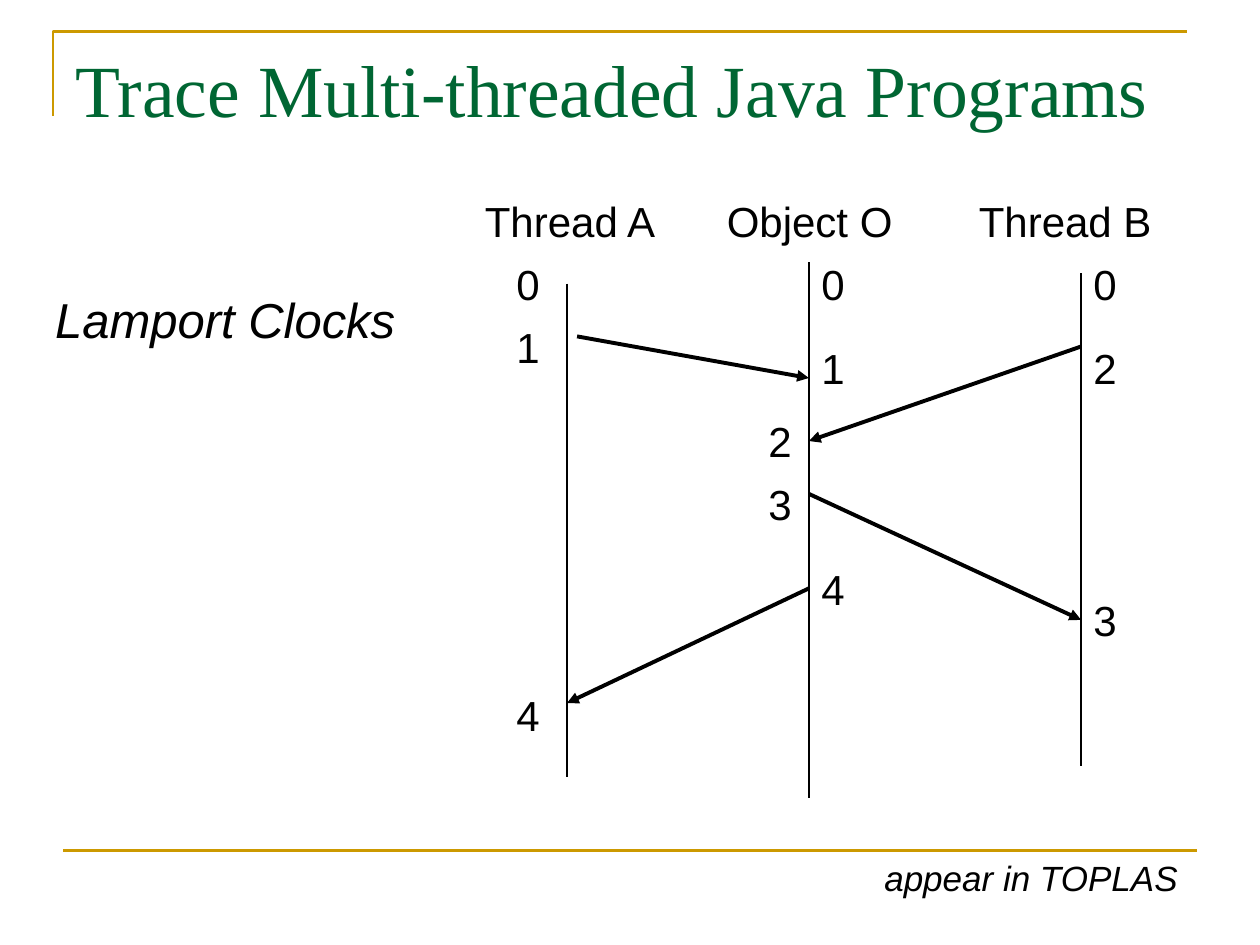
import pptx
import pptx.dml.color
import pptx.enum.shapes
import pptx.oxml
import pptx.oxml.ns
import pptx.util

Inches = pptx.util.Inches
Pt = pptx.util.Pt
RGBColor = pptx.dml.color.RGBColor

GOLD = RGBColor(0xCC, 0x99, 0x00)
GREEN = RGBColor(0x00, 0x66, 0x33)
BLACK = RGBColor(0x00, 0x00, 0x00)


def add_text(s, x, y, w, h, text, size, color=BLACK, font="Arial", italic=False, wrap=True):
    tf = s.shapes.add_textbox(Inches(x), Inches(y), Inches(w), Inches(h)).text_frame
    tf.word_wrap = wrap
    p = tf.paragraphs[0]
    p.text = text
    p.font.size = Pt(size)
    p.font.name = font
    p.font.italic = italic
    p.font.color.rgb = color


def add_line(s, x1, y1, x2, y2, color, width, arrow=False):
    line = s.shapes.add_connector(
        pptx.enum.shapes.MSO_CONNECTOR.STRAIGHT,
        Inches(x1), Inches(y1), Inches(x2), Inches(y2))
    line.line.color.rgb = color
    line.line.width = Pt(width)
    if arrow:
        ln = line.line._get_or_add_ln()
        ln.append(pptx.oxml.parse_xml(
            f'<a:tailEnd {pptx.oxml.ns.nsdecls("a")} type="triangle"/>'))
    line._element.spPr.append(
        pptx.oxml.parse_xml(f'<a:effectLst {pptx.oxml.ns.nsdecls("a")}/>'))


def add_header(s, x, y, w, h):
    builder = s.shapes.build_freeform(Inches(x), Inches(y + h), scale=1.0)
    builder.add_line_segments(
        [(Inches(x), Inches(y)), (Inches(x + w), Inches(y))], close=False)
    corner = builder.convert_to_shape()
    corner.fill.background()
    corner.line.color.rgb = GOLD
    corner.line.width = Pt(1.5)
    corner.shadow.inherit = False
    add_text(s, x + 0.08, y + 0.05, w, 1.25, "Trace Multi-threaded Java Programs",
             42, GREEN, "Times New Roman")


def add_footer(s, x, y, w):
    add_line(s, x, y, x + w, y, GOLD, 1.5)
    add_text(s, x + w - 2.58, y, 2.67, 0.44, "appear in TOPLAS", 20, italic=True)


def add_clock_diagram(s, x, y):
    a, o, b = x + 0.75, x + 2.67, x + 4.83
    timelines = [
        ("Thread A", x, a, 0.75, 4.67),
        ("Object O", x + 1.92, o, 0.58, 4.83),
        ("Thread B", x + 3.92, b, 0.67, 4.58),
    ]
    for name, left, axis, top, bottom in timelines:
        add_text(s, left, y, 1.67, 0.5, name, 24)
        add_line(s, axis, y + top, axis, y + bottom, BLACK, 0.75)

    messages = [
        (a + 0.08, 1.17, o, 1.5),
        (b, 1.25, o, 2),
        (o, 2.42, b, 3.42),
        (o, 3.17, a, 4.08),
    ]
    for x1, y1, x2, y2 in messages:
        add_line(s, x1, y + y1, x2, y + y2, BLACK, 2.25, arrow=True)

    clocks = [
        (a - 0.5, [("0", 0.5), ("1", 1), ("4", 3.92)]),
        (o - 0.42, [("2", 1.75), ("3", 2.25)]),
        (o, [("0", 0.5), ("1", 1.17), ("4", 2.92)]),
        (b, [("0", 0.5), ("2", 1.17), ("3", 3.17)]),
    ]
    for left, ticks in clocks:
        for value, top in ticks:
            add_text(s, left, y + top, 0.42, 0.5, value, 24)


def main():
    prs = pptx.Presentation()
    prs.slide_width = Inches(10)
    prs.slide_height = Inches(7.5)
    s = prs.slides.add_slide(prs.slide_layouts[6])
    add_header(s, 0.42, 0.25, 9, 0.67)
    add_footer(s, 0.5, 6.75, 9)
    add_text(s, 0.34, 2.25, 2.9, 0.57, "Lamport Clocks", 28, italic=True, wrap=False)
    add_clock_diagram(s, 3.75, 1.5)
    prs.save("out.pptx")


if __name__ == "__main__":
    main()
